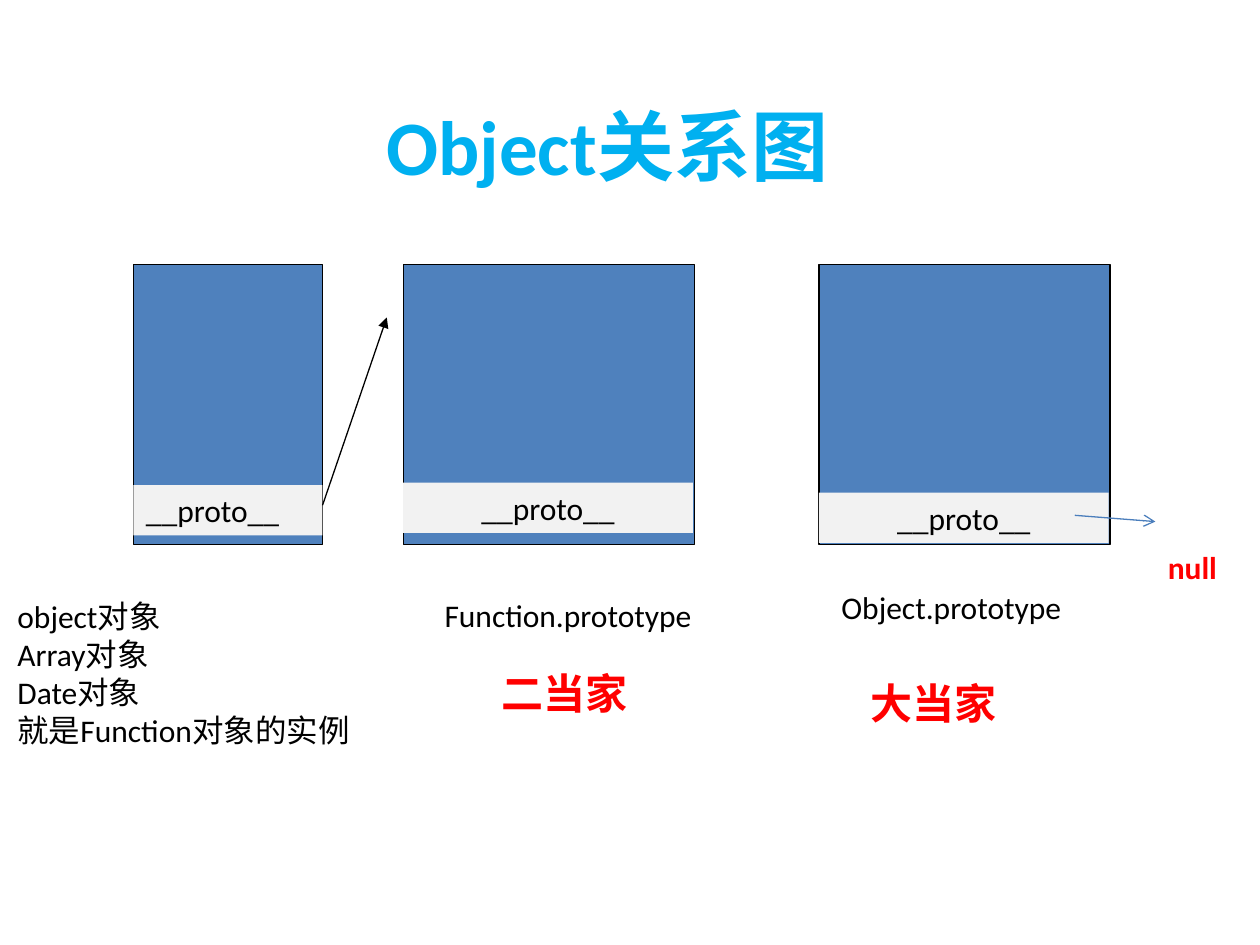
"""Build the Object prototype-chain slide."""
from dataclasses import dataclass

from lxml import etree
from pptx import Presentation
from pptx import util as u
from pptx.dml.color import RGBColor
from pptx.enum import shapes, text
from pptx.oxml.ns import qn

COLORS = {
    "title": "00B0F0",
    "box": "4F81BD",
    "slot": "F2F2F2",
    "ink": "000000",
    "accent": "FF0000",
    "link": "4B7EBC",
}
FONT = "Calibri"
BOX_TOP, BOX_HEIGHT, SLOT_HEIGHT = 2.1, 2.22, 0.4


@dataclass
class ProtoBox:
    left: float
    width: float
    slot_top: float
    slot_width: float
    align: text.PP_ALIGN = text.PP_ALIGN.CENTER


@dataclass
class Label:
    content: str
    left: float
    top: float
    width: float
    height: float = 0.4
    size: int = 18
    color: str = "ink"
    bold: bool = False


@dataclass
class Arrow:
    start: tuple[float, float]
    end: tuple[float, float]
    color: str
    head: str


BOXES = [
    ProtoBox(1.06, 1.5, 3.85, 1.5, text.PP_ALIGN.LEFT),
    ProtoBox(3.2, 2.31, 3.83, 2.3),
    ProtoBox(6.5, 2.31, 3.91, 2.3),
]
LABELS = [
    Label("object对象\nArray对象\nDate对象\n就是Function对象的实例", 0.04, 4.69, 2.84, 1.3),
    Label("Function.prototype", 3.43, 4.68, 2.27),
    Label("Object.prototype", 6.58, 4.62, 2.24),
    Label("null", 9.17, 4.3, 0.74, color="accent", bold=True),
    Label("二当家", 3.88, 5.25, 1.28, 0.5, 24, "accent", True),
    Label("大当家", 6.81, 5.33, 1.28, 0.5, 24, "accent", True),
]
ARROWS = [
    Arrow((2.56, 4.01), (3.07, 2.52), "ink", "triangle"),
    Arrow((8.53, 4.09), (9.17, 4.14), "link", "arrow"),
]


def rgb(name: str) -> RGBColor:
    return RGBColor.from_string(COLORS[name])


def write(shape, content: str, size: int, color: str, bold: bool = False,
          align: text.PP_ALIGN = text.PP_ALIGN.LEFT) -> None:
    frame = shape.text_frame
    frame.word_wrap = True
    frame.text = content
    for paragraph in frame.paragraphs:
        paragraph.alignment = align
        for run in paragraph.runs:
            run.font.name = FONT
            run.font.size = u.Pt(size)
            run.font.bold = bold
            run.font.color.rgb = rgb(color)


def add_rectangle(slide, left: float, top: float, width: float, height: float, fill: str):
    shape = slide.shapes.add_shape(
        shapes.MSO_SHAPE.RECTANGLE,
        u.Inches(left), u.Inches(top), u.Inches(width), u.Inches(height))
    shape.shadow.inherit = False
    shape.fill.solid()
    shape.fill.fore_color.rgb = rgb(fill)
    return shape


def add_proto_box(slide, box: ProtoBox) -> None:
    body = add_rectangle(slide, box.left, BOX_TOP, box.width, BOX_HEIGHT, "box")
    body.line.color.rgb = rgb("ink")
    body.line.width = u.Pt(0.75)
    slot = add_rectangle(slide, box.left, box.slot_top, box.slot_width, SLOT_HEIGHT, "slot")
    slot.line.fill.background()
    write(slot, "__proto__", 18, "ink", align=box.align)


def add_label(slide, label: Label) -> None:
    shape = slide.shapes.add_textbox(
        u.Inches(label.left), u.Inches(label.top),
        u.Inches(label.width), u.Inches(label.height))
    write(shape, label.content, label.size, label.color, label.bold)


def add_arrow(slide, arrow: Arrow) -> None:
    points = [u.Inches(value) for value in arrow.start + arrow.end]
    connector = slide.shapes.add_connector(shapes.MSO_CONNECTOR.STRAIGHT, *points)
    connector.line.color.rgb = rgb(arrow.color)
    connector.line.width = u.Pt(0.75)
    properties = connector.element.spPr
    etree.SubElement(properties.find(qn("a:ln")), qn("a:tailEnd"), type=arrow.head)
    etree.SubElement(properties, qn("a:effectLst"))


def add_title(slide) -> None:
    title = slide.shapes.title
    title.left, title.top = u.Inches(-0.12), u.Inches(0.52)
    title.width, title.height = u.Inches(9.88), u.Inches(1.25)
    write(title, "Object关系图", 44, "title", True, text.PP_ALIGN.CENTER)
    title.text_frame.vertical_anchor = text.MSO_ANCHOR.MIDDLE


def main() -> None:
    presentation = Presentation()
    presentation.slide_width, presentation.slide_height = u.Inches(10), u.Inches(7.5)
    slide = presentation.slides.add_slide(presentation.slide_layouts[0])
    subtitle = slide.placeholders[1].element
    subtitle.getparent().remove(subtitle)
    add_title(slide)
    for box in BOXES:
        add_proto_box(slide, box)
    for label in LABELS:
        add_label(slide, label)
    for arrow in ARROWS:
        add_arrow(slide, arrow)
    presentation.save("out.pptx")


if __name__ == "__main__":
    main()
